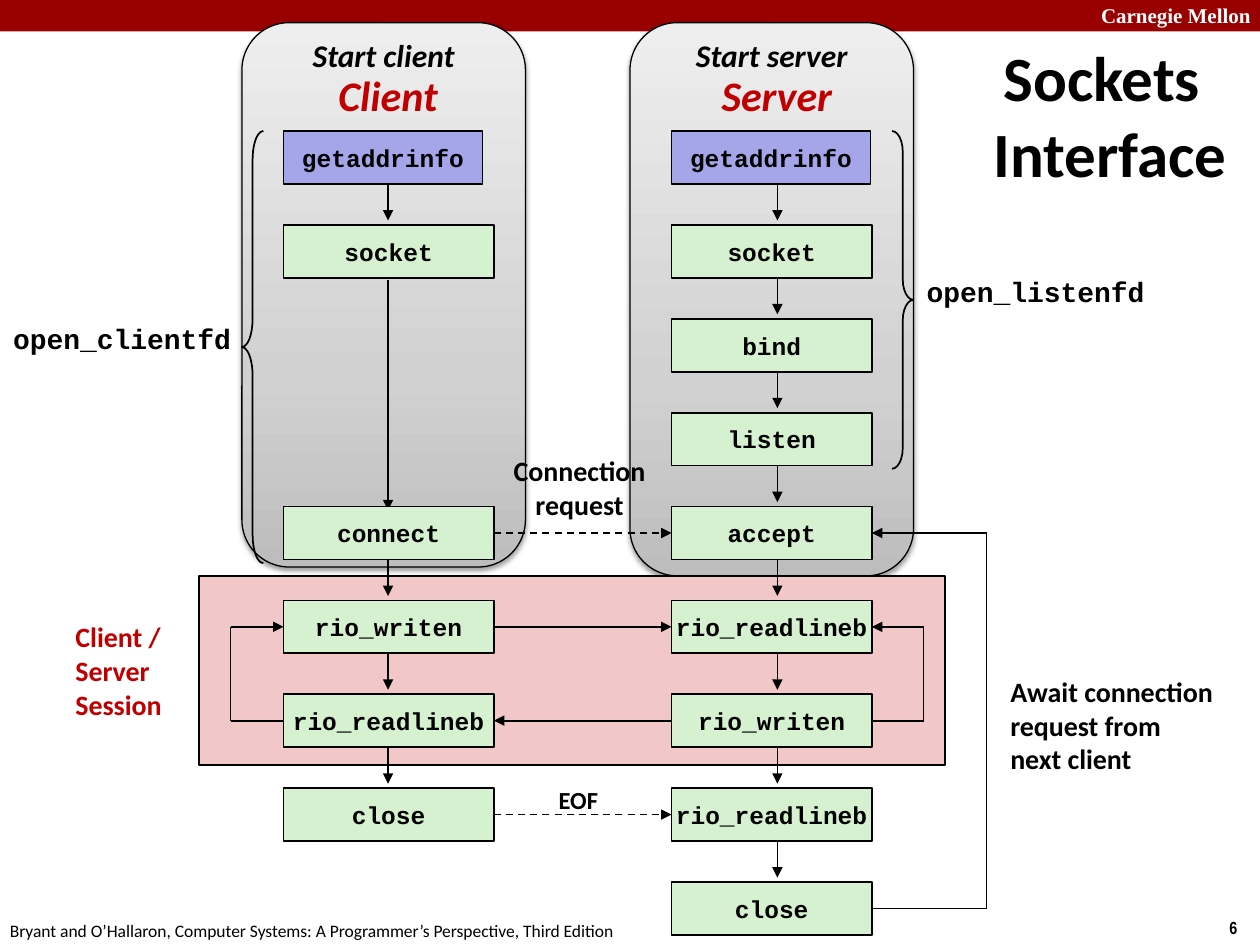
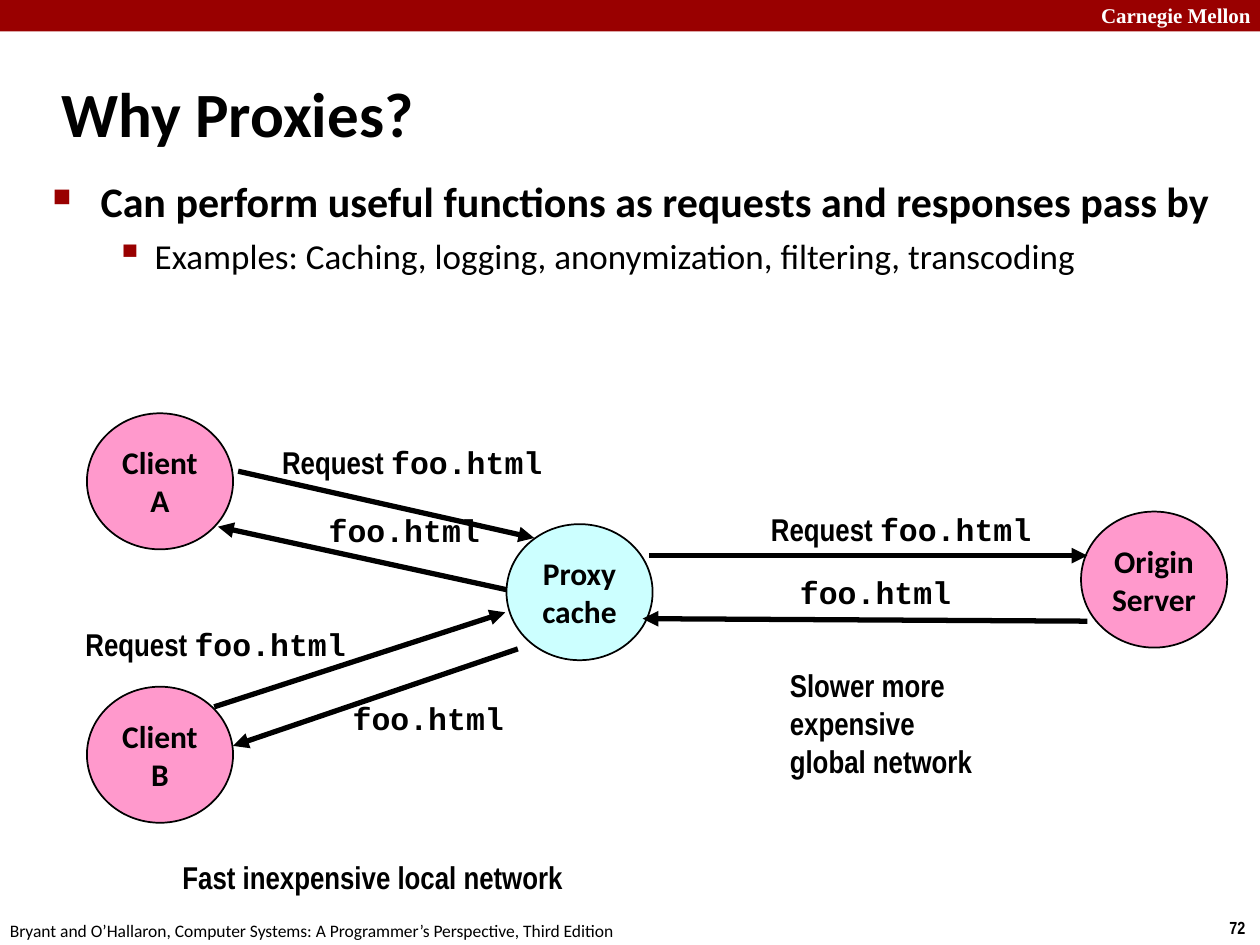
from copy import deepcopy
from itertools import pairwise

from lxml.etree import SubElement
from pptx import Presentation
from pptx.dml.color import RGBColor
from pptx.enum.dml import MSO_LINE
from pptx.enum.shapes import MSO_CONNECTOR, MSO_SHAPE as SHAPE
from pptx.enum.text import MSO_ANCHOR as ANCHOR, PP_ALIGN as ALIGN
from pptx.oxml.ns import qn
from pptx.util import Inches, Pt

rgb = RGBColor.from_string
BLACK, WHITE, CRIMSON, RED = "000000", "FFFFFF", "990000", "C00000"
GREEN, BLUE, ROSE = "D5F1CF", "A5A5E9", "F1C7C7"
PINK, CYAN = "FF99CC", "CCFFFF"
SANS, CODE, NARROW, SERIF = "Calibri", "Courier New", "Arial Narrow", "Times New Roman"


def add_block(page, at, lines=(), size=16, font=SANS, color=BLACK, shape=None, fill=None,
              outline=1, centred=False, bold=True, italic=False, anchor=ANCHOR.MIDDLE):
    place = [Inches(length) for length in at]
    if shape is None:
        box = page.shapes.add_textbox(*place)
    else:
        box = page.shapes.add_shape(shape, *place)
        box.shadow.inherit = False
        box.fill.background()
        box.line.fill.background()
        if fill:
            box.fill.solid()
            box.fill.fore_color.rgb = rgb(fill)
        if outline:
            box.line.color.rgb = rgb(BLACK)
            box.line.width = Pt(outline)
    frame = box.text_frame
    frame.word_wrap = not centred
    frame.vertical_anchor = anchor
    for number, line in enumerate(lines):
        para = frame.add_paragraph() if number else frame.paragraphs[0]
        para.add_run().text = line
        para.alignment = ALIGN.CENTER if centred else ALIGN.LEFT
        para.font.size = Pt(size)
        para.font.name = font
        para.font.bold = bold
        para.font.italic = italic
        para.font.color.rgb = rgb(color)
    return box


def add_route(page, points, width=1, dashed=False):
    for start, end in pairwise(points):
        lengths = [Inches(length) for length in (*start, *end)]
        line = page.shapes.add_connector(MSO_CONNECTOR.STRAIGHT, *lengths)
        line.line.color.rgb = rgb(BLACK)
        line.line.width = Pt(width)
        if dashed:
            line.line.dash_style = MSO_LINE.DASH
        properties = line._element.spPr
        if end == points[-1]:
            SubElement(properties.find(qn("a:ln")), qn("a:tailEnd"), type="triangle")
        SubElement(properties, qn("a:effectLst"))


deck = Presentation()
deck.slide_width, deck.slide_height = Inches(10), Inches(7.5)
pages = []
for number, title, title_at, title_centred in [
    ("6", "Sockets Interface", (7.58, 0.25, 2.33, 1.31), True),
    ("72", "Why Proxies?", (0.39, 0.48, 8.3, 0.83), False),
]:
    page = deck.slides.add_slide(deck.slide_layouts[6])
    add_block(page, (0, 0, 10, 0.25), shape=SHAPE.RECTANGLE, fill=CRIMSON, outline=0)
    add_block(page, (8.64, -0.03, 1.43, 0.3), ["Carnegie Mellon"], 12, SERIF, WHITE,
              anchor=ANCHOR.TOP)
    add_block(page, (9.66, 7.23, 0.34, 0.27), [number], 10, NARROW, anchor=ANCHOR.TOP)
    add_block(page, (-0.02, 7.25, 5.08, 0.27),
              ["Bryant and O’Hallaron, Computer Systems: A Programmer’s Perspective, Third Edition"],
              10, bold=False, anchor=ANCHOR.TOP)
    heading = add_block(page, title_at, [title], 36, centred=title_centred)
    heading.text_frame.word_wrap = True
    indents = heading.text_frame.paragraphs[0]._p.get_or_add_pPr()
    indents.set("marL", str(Inches(0.13)))
    indents.set("indent", str(-Inches(0.13)))
    pages.append(page)
sockets, proxies = pages

BOX_HEIGHT = 0.42
ROW_TOPS = [1.04 + row * (7 - 1.04) / 8 for row in range(9)]
ROW_MIDDLES = [top + BOX_HEIGHT / 2 for top in ROW_TOPS]
CLIENT_LEFT, CLIENT_RIGHT, CLIENT_AXIS = 2.25, 3.92, 3.08
SERVER_LEFT, SERVER_RIGHT, SERVER_AXIS = 5.33, 6.92, 6.17

for left, height, caption in [(1.92, 4.32, "Start client"), (5, 4.39, "Start server")]:
    panel = add_block(sockets, (left, 0.18, 2.25, height), [caption], 18, centred=True, italic=True,
                      shape=SHAPE.ROUNDED_RECTANGLE, outline=0.75, anchor=ANCHOR.TOP)
    panel.text_frame.margin_top = 0
    panel.fill.gradient()
    panel.fill.gradient_angle = 90
    properties = panel._element.spPr
    stop_list = properties.find(".//" + qn("a:gsLst"))
    stop_list.append(deepcopy(stop_list[0]))
    shades = [(0, "BDBDBD"), (0.35, "D1D1D1"), (1, "EEEEEE")]
    for stop, (position, shade) in zip(panel.fill.gradient_stops, shades):
        stop.position = position
        stop.color.rgb = rgb(shade)
    shadow = SubElement(properties.find(qn("a:effectLst")), qn("a:outerShdw"),
                        blurRad=str(Pt(3.1)), dist=str(Pt(1.6)), dir="5400000", rotWithShape="0")
    tint = SubElement(shadow, qn("a:srgbClr"), val=BLACK)
    SubElement(tint, qn("a:alpha"), val="38000")

add_block(sockets, (1.58, 4.57, 5.92, 1.5), shape=SHAPE.RECTANGLE, fill=ROSE)

for axis, rows in [(CLIENT_AXIS, (0, 4, 5, 6)), (SERVER_AXIS, range(8))]:
    for row in rows:
        add_route(sockets, [(axis, ROW_TOPS[row] + 0.37), (axis, ROW_TOPS[row] + 0.71)])
add_route(sockets, [(CLIENT_AXIS, 2.22), (CLIENT_AXIS, 4.05)])

for row in (4, 7):
    add_route(sockets, [(CLIENT_RIGHT, ROW_MIDDLES[row]), (SERVER_LEFT, ROW_MIDDLES[row])],
              dashed=True)
add_route(sockets, [(CLIENT_RIGHT, ROW_MIDDLES[5]), (SERVER_LEFT, ROW_MIDDLES[5])])
add_route(sockets, [(SERVER_LEFT, ROW_MIDDLES[6]), (CLIENT_RIGHT, ROW_MIDDLES[6])])

for edge, turn, first, last in [
    (CLIENT_LEFT, 1.83, 6, 5), (SERVER_RIGHT, 7.33, 6, 5), (SERVER_RIGHT, 7.83, 8, 4),
]:
    leave, enter = ROW_MIDDLES[first], ROW_MIDDLES[last]
    add_route(sockets, [(edge, leave), (turn, leave), (turn, enter), (edge, enter)])

client_calls = {0: "getaddrinfo", 1: "socket", 4: "connect", 5: "rio_writen",
                6: "rio_readlineb", 7: "close"}
server_calls = dict(enumerate(["getaddrinfo", "socket", "bind", "listen", "accept",
                               "rio_readlineb", "rio_writen", "rio_readlineb", "close"]))
for left, right, calls in [
    (CLIENT_LEFT, CLIENT_RIGHT, client_calls), (SERVER_LEFT, SERVER_RIGHT, server_calls),
]:
    for row, call in calls.items():
        width = right - left if row else 1.58
        add_block(sockets, (left, ROW_TOPS[row], width, BOX_HEIGHT), [call], 14, CODE,
                  shape=SHAPE.RECTANGLE, fill=GREEN if row else BLUE, centred=True)

for shape, left, height, bend in [
    (SHAPE.LEFT_BRACE, 1.92, 3.43, 1.33), (SHAPE.RIGHT_BRACE, 7.08, 2.68, 0.96),
]:
    brace = add_block(sockets, (left, ROW_TOPS[0], 0.17, height), shape=shape)
    brace.adjustments[0] = bend

for left, width, role in [(2.58, 1, "Client"), (5.62, 1.09, "Server")]:
    add_block(sockets, (left, 0.5, width, 0.5), [role], 24, color=RED, centred=True, italic=True)
for left, top, wrapper in [(0, 2.5, "open_clientfd"), (7.25, 2.13, "open_listenfd")]:
    add_block(sockets, (left, top, 1.94, 0.37), [wrapper], font=CODE, centred=True)
add_block(sockets, (0.5, 4.87, 0.92, 0.9), ["Client / Server", "Session"], color=RED)
add_block(sockets, (3.97, 3.55, 1.26, 0.64), ["Connection", "request"], centred=True)
add_block(sockets, (4.33, 6.18, 0.52, 0.34), ["EOF"], 14, centred=True)
add_block(sockets, (7.92, 5.3, 1.83, 0.91), ["Await connection", "request from", "next client"])

body = add_block(proxies, (0.32, 1.34, 9.43, 1.81), anchor=ANCHOR.TOP).text_frame
for level, text, size, margin, hanging, mark, scale in [
    (0, "Can perform useful functions as requests and responses pass by",
     24, 0.38, 0.38, "■", 60),
    (1, "Examples: Caching, logging, anonymization, filtering, transcoding",
     20, 0.81, 0.31, "▪", 110),
]:
    para = body.add_paragraph() if level else body.paragraphs[0]
    para.add_run().text = text
    para.level = level
    if level:
        para.space_before = Pt(5)
    properties = para._p.get_or_add_pPr()
    properties.set("marL", str(Inches(margin)))
    properties.set("indent", str(-Inches(hanging)))
    SubElement(SubElement(properties, qn("a:buClr")), qn("a:srgbClr"), val=CRIMSON)
    SubElement(properties, qn("a:buSzPct"), val=str(scale * 1000))
    SubElement(properties, qn("a:buChar"), char=mark)
    para.font.size = Pt(size)
    para.font.name = SANS
    para.font.bold = level == 0
    para.font.color.rgb = rgb(BLACK)

for left, top, fill, words in [
    (0.69, 3.28, PINK, ["Client", "A"]), (0.69, 5.45, PINK, ["Client", "B"]),
    (4.02, 4.16, CYAN, ["Proxy", "cache"]), (8.58, 4.06, PINK, ["Origin", "Server"]),
]:
    add_block(proxies, (left, top, 1.16, 1.08), words, 18, shape=SHAPE.OVAL, fill=fill, centred=True)

for start, end in [
    ((1.89, 3.74), (4.24, 4.27)), ((4.02, 4.68), (1.73, 4.18)),
    ((5.15, 4.41), (8.63, 4.41)), ((8.63, 4.93), (5.1, 4.91)),
    ((1.7, 5.61), (4.01, 4.86)), ((4.11, 5.15), (1.85, 5.92)),
]:
    add_route(proxies, [start, end], width=3)

for left, top in [(2.14, 3.47), (6.02, 4), (0.58, 4.91)]:
    request = add_block(proxies, (left, top, 2.28, 0.4), ["Request "], 18, NARROW, anchor=ANCHOR.TOP)
    span = request.text_frame.paragraphs[0].add_run()
    span.text = "foo.html"
    span.font.name = CODE
for left, top in [(2.51, 4.01), (6.25, 4.5), (2.7, 5.5)]:
    add_block(proxies, (left, top, 1.41, 0.4), ["foo.html"], 18, CODE, anchor=ANCHOR.TOP)
add_block(proxies, (1.35, 6.76, 3.26, 0.4), ["Fast inexpensive local network"], 18, NARROW,
          anchor=ANCHOR.TOP)
add_block(proxies, (6.17, 5.24, 1.85, 1.01), ["Slower more", "expensive", "global network"],
          18, NARROW, anchor=ANCHOR.TOP)

deck.save("out.pptx")
